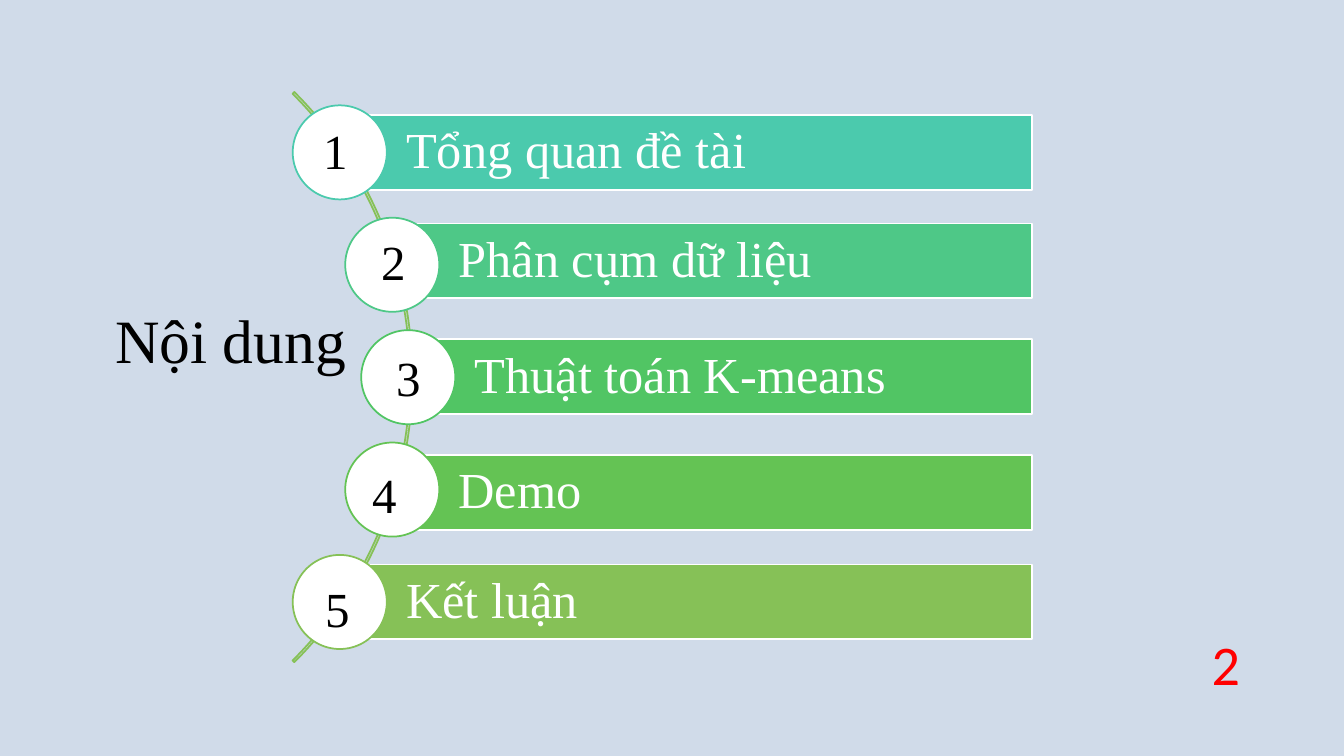
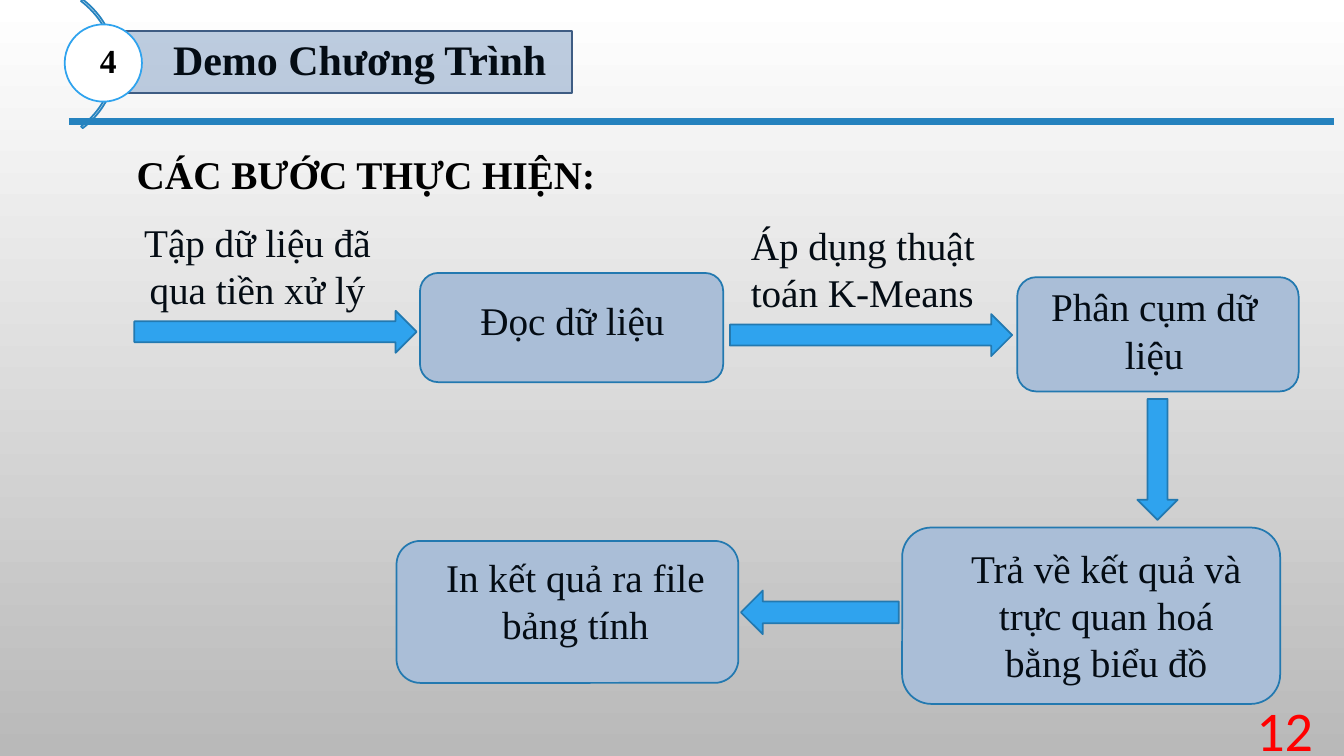
from dataclasses import dataclass
from math import sqrt
from typing import NamedTuple

from lxml.etree import SubElement
from pptx import Presentation
from pptx.dml.color import RGBColor
from pptx.enum.shapes import MSO_CONNECTOR, MSO_SHAPE
from pptx.enum.text import MSO_ANCHOR, MSO_AUTO_SIZE, PP_ALIGN
from pptx.oxml.ns import qn
from pptx.util import Emu, Pt

CELL = Pt(6)  # the slide is a grid of 160 columns by 90 rows
COLUMNS, ROWS = 160, 90
TITLE_ONLY = 5
SERIF, SANS = "Times New Roman", "Calibri"
COLORS = {
    "agenda_bg": "D0DBE9", "bg_top": "FFFFFF", "bg_bottom": "B9B9B9",
    "white": "FFFFFF", "black": "000000", "ink": "040C14", "page": "FF0000",
    "teal": "4BCAAD", "mint": "4EC887", "green": "51C564",
    "leaf": "64C354", "olive": "86C157",
    "rule": "2683BF", "band": "90AACB", "band_line": "3E5C83",
    "sky": "2FA3EE", "step": "AABED7", "step_line": "2379B0",
}


class Box(NamedTuple):
    """Left, top, width and height in grid cells."""
    x: float
    y: float
    w: float
    h: float


class Insets(NamedTuple):
    left: float = 1.2
    top: float = 0.6
    right: float = 1.2
    bottom: float = 0.6


@dataclass
class Style:
    size: float
    color: str = "ink"
    font: str = SERIF
    bold: bool = False
    align: PP_ALIGN = PP_ALIGN.LEFT
    anchor: MSO_ANCHOR = MSO_ANCHOR.TOP
    insets: Insets = Insets()
    wrap: bool = True
    spacing: float = 1.0
    before: float = 0


@dataclass
class Topic:
    number: str
    text: str
    color: str
    bar_top: float
    number_x: float
    number_y: float


@dataclass
class Step:
    text: str
    box: Box
    insets: Insets


@dataclass
class Arrow:
    box: Box
    rotation: float = 0


TOPICS = [
    Topic("1", "Tổng quan đề tài", "teal", 13.7, 37.3, 13.8),
    Topic("2", "Phân cụm dữ liệu", "mint", 26.6, 44.2, 27),
    Topic("3", "Thuật toán K-means", "green", 40.4, 46, 40.8),
    Topic("4", "Demo", "leaf", 54.2, 43.2, 54.7),
    Topic("5", "Kết luận", "olive", 67.2, 37.6, 68.3),
]
STEPS = [
    Step("Đọc dữ liệu", Box(50, 32.5, 36.1, 13), Insets(5.6, 2.2, 5.4, 0)),
    Step("Phân cụm dữ liệu", Box(121.1, 33, 33.5, 13.6), Insets(1.9, 0, 2.8, 0)),
    Step("Trả về kết quả và trực quan hoá bằng biểu đồ",
         Box(107.4, 62.8, 45, 21), Insets(5.9, 1, 2.3, 0)),
    Step("In kết quả ra file bảng tính",
         Box(47.2, 64.4, 40.7, 16.9), Insets(2.3, 0.6, 0.4, 0)),
]
ARROWS = [
    Arrow(Box(16, 37, 33.6, 5)),
    Arrow(Box(86.9, 37.4, 33.6, 5)),
    Arrow(Box(130.6, 52.3, 14.4, 4.8), 90),
    Arrow(Box(88.2, 70.3, 18.8, 5.2), 180),
]


def cells(n: float) -> Emu:
    return Emu(round(n * CELL))


def rgb(name: str) -> RGBColor:
    return RGBColor.from_string(COLORS[name])


def write(sp, text: str, style: Style) -> None:
    tf = sp.text_frame
    tf.auto_size = MSO_AUTO_SIZE.NONE
    tf.word_wrap = style.wrap
    tf.vertical_anchor = style.anchor
    tf.margin_left, tf.margin_top, tf.margin_right, tf.margin_bottom = map(
        cells, style.insets)
    p = tf.paragraphs[0]
    p.text = text
    p.alignment = style.align
    p.line_spacing = style.spacing
    p.space_before = Pt(style.before)
    p.font.name, p.font.size, p.font.bold = style.font, Pt(style.size), style.bold
    p.font.color.rgb = rgb(style.color)


def add_text(s, box: Box, text: str, style: Style) -> None:
    write(s.shapes.add_textbox(*map(cells, box)), text, style)


def paint(sp, fill: str | None, line: str) -> None:
    if fill:
        sp.fill.solid()
        sp.fill.fore_color.rgb = rgb(fill)
    else:
        sp.fill.background()
    sp.line.color.rgb = rgb(line)
    sp.line.width = Pt(1.25)


def add_shape(s, kind: MSO_SHAPE, box: Box, fill: str | None, line: str):
    sp = s.shapes.add_shape(kind, *map(cells, box))
    sp.shadow.inherit = False
    paint(sp, fill, line)
    return sp


def add_arc(s, box: Box, thickness: float, color: str) -> None:
    """Draw a thin arc bulging right, from 315 to 45 degrees."""
    sp = add_shape(s, MSO_SHAPE.BLOCK_ARC, box, None, color)
    for i, value in enumerate((189, 27, thickness)):
        sp.adjustments[i] = value


def set_title(s, box: Box, text: str, style: Style):
    sp = s.shapes.title
    sp.left, sp.top, sp.width, sp.height = map(cells, box)
    write(sp, text, style)
    return sp


def add_page_number(s, x: float, y: float, number: str) -> None:
    add_text(s, Box(x, y, 10.1, 4.8), number,
             Style(40, "page", SANS, align=PP_ALIGN.RIGHT, anchor=MSO_ANCHOR.MIDDLE))


def build_agenda(prs) -> None:
    s = prs.slides.add_slide(prs.slide_layouts[TITLE_ONLY])
    s.background.fill.solid()
    s.background.fill.fore_color.rgb = rgb("agenda_bg")
    set_title(s, Box(12.5, 35.3, 32, 10.1), "Nội dung", Style(44, "black"))

    radius, mid_x, mid_y = 48, 1.1, 44.9
    add_arc(s, Box(mid_x - radius, mid_y - radius, 2 * radius, 2 * radius),
            0.003, "olive")
    pitch, circle, bar_right = 13.38, 11.2, 122.9
    bar_style = Style(36, "white", anchor=MSO_ANCHOR.MIDDLE,
                      insets=Insets(7.1, 1.2, 1.2, 1.2), spacing=0.9)
    for i, topic in enumerate(TOPICS):
        dy = (i - len(TOPICS) // 2) * pitch
        bar_left = mid_x + 0.3 + sqrt(radius ** 2 - dy ** 2)
        bar = add_shape(s, MSO_SHAPE.RECTANGLE,
                        Box(bar_left, topic.bar_top, bar_right - bar_left, 8.9),
                        topic.color, "white")
        write(bar, topic.text, bar_style)
        add_shape(s, MSO_SHAPE.OVAL,
                  Box(bar_left - 6.4, mid_y + dy - circle / 2, circle, circle),
                  "white", topic.color)
        add_text(s, Box(topic.number_x, topic.number_y, 5.4, 8.3), topic.number,
                 Style(35, "black", wrap=False))
    add_page_number(s, 138.7, 76.6, "2")


def add_section_header(s, number: str, text: str) -> None:
    title = set_title(s, Box(14.6, 3.7, 53.5, 7.4), text,
                      Style(30, bold=True, anchor=MSO_ANCHOR.MIDDLE,
                            insets=Insets(6, 1, 1, 1), spacing=0.9))
    paint(title, "band", "band_line")
    color = title.fill._xPr.find(qn("a:solidFill"))[0]
    SubElement(color, qn("a:alpha"), val="59000")

    rule = s.shapes.add_connector(MSO_CONNECTOR.STRAIGHT,
                                  *map(cells, (8.2, 14.5, 158.8, 14.5)))
    rule.line.color.rgb = rgb("rule")
    rule.line.width = Pt(4.75)
    SubElement(rule._element.spPr, qn("a:effectLst"))
    add_arc(s, Box(-9.4, -2.6, 23.2, 20.4), 0.014, "rule")
    add_shape(s, MSO_SHAPE.OVAL, Box(7.7, 2.9, 9.2, 9.2), "white", "sky")
    add_text(s, Box(8.6, 4.2, 8.6, 6), number,
             Style(24, "black", bold=True, align=PP_ALIGN.CENTER))


def build_demo(prs) -> None:
    s = prs.slides.add_slide(prs.slide_layouts[TITLE_ONLY])
    fill = s.background.fill
    fill.gradient()
    fill.gradient_angle = 270
    for stop, name, position in zip(fill.gradient_stops, ("bg_top", "bg_bottom"), (0, 1)):
        stop.color.rgb = rgb(name)
        stop.position = position

    add_section_header(s, "4", "Demo Chương Trình")
    add_text(s, Box(15.1, 16.2, 60, 6.6), "CÁC BƯỚC THỰC HIỆN:",
             Style(28, "black", bold=True, spacing=1.2, before=10))
    for step in STEPS:
        sp = add_shape(s, MSO_SHAPE.ROUNDED_RECTANGLE, step.box, "step", "step_line")
        write(sp, step.text, Style(28, align=PP_ALIGN.CENTER, insets=step.insets))
    add_text(s, Box(15.1, 25.4, 31.1, 12.5), "Tập dữ liệu đã qua tiền xử lý",
             Style(28, align=PP_ALIGN.CENTER))
    add_text(s, Box(88.2, 25.7, 30.4, 12.5), "Áp dụng thuật toán K-Means", Style(28))
    for arrow in ARROWS:
        sp = add_shape(s, MSO_SHAPE.RIGHT_ARROW, arrow.box, "sky", "step_line")
        sp.rotation = arrow.rotation
    add_page_number(s, 147.4, 84.4, "12")


def main() -> None:
    prs = Presentation()
    prs.slide_width, prs.slide_height = cells(COLUMNS), cells(ROWS)
    build_agenda(prs)
    build_demo(prs)
    prs.save("out.pptx")


if __name__ == "__main__":
    main()
